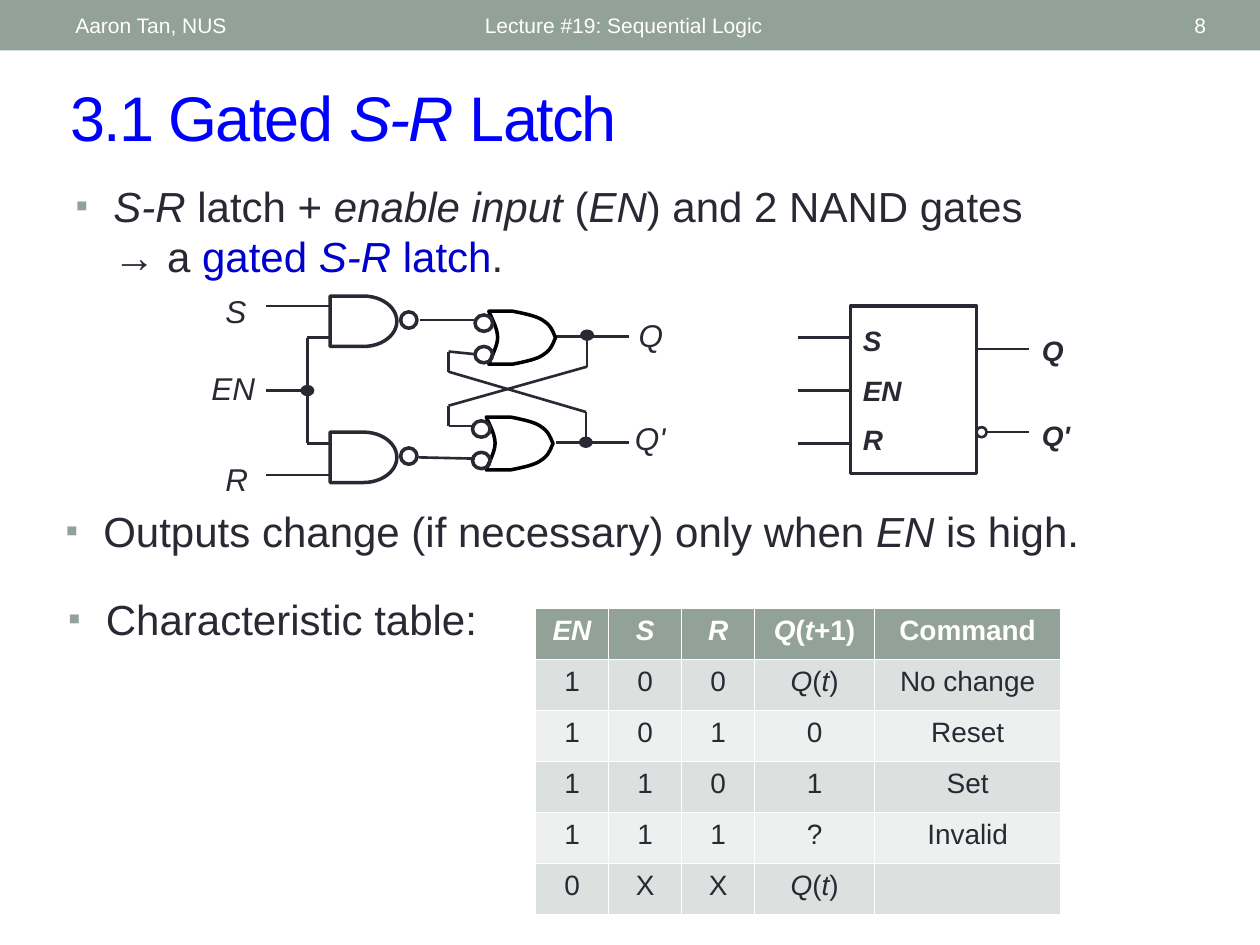
from dataclasses import dataclass
from itertools import pairwise

from lxml.etree import SubElement
from pptx import Presentation
from pptx.dml.color import RGBColor
from pptx.enum.shapes import MSO_CONNECTOR as CONNECTOR, MSO_SHAPE as SHAPE
from pptx.enum.text import MSO_ANCHOR as ANCHOR, MSO_AUTO_SIZE as FIT, PP_ALIGN as ALIGN
from pptx.oxml.ns import qn
from pptx.util import Inches, Pt

COLORS = {"sage": "93A299", "ink": "292934", "title": "0000FF", "accent": "0000CC",
          "white": "FFFFFF", "black": "000000", "odd": "DCE0DE", "even": "EEF0EF"}
FONT = "Arial"

presentation = Presentation()
presentation.slide_width, presentation.slide_height = Inches(10), Inches(7.5)
COLUMN = presentation.slide_width // 100
ROW = presentation.slide_height // 75
slide = presentation.slides.add_slide(presentation.slide_layouts[4])


@dataclass
class Box:
    """A region measured in grid columns and rows."""
    left: float
    top: float
    width: float
    height: float

    def point(self, x, y):
        """Return the slide position of a point inside the region."""
        return round((self.left + x) * COLUMN), round((self.top + y) * ROW)

    def inner(self, x, y, width, height):
        """Return a smaller region inside this one."""
        return Box(self.left + x, self.top + y, width, height)

    def frame(self):
        """Return left, top, width and height as slide lengths."""
        return (*self.point(0, 0), round(self.width * COLUMN), round(self.height * ROW))


def rgb(name):
    """Look up a named colour."""
    return RGBColor.from_string(COLORS[name])


def write(paragraph, text, size, color="ink", bold=False):
    """Write text in which *stars* mark italics and |bars| mark the accent colour."""
    for accent, phrase in enumerate(text.split("|")):
        for italic, piece in enumerate(phrase.split("*")):
            if piece:
                run = paragraph.add_run()
                run.text = piece
                font = run.font
                font.name, font.size, font.bold = FONT, Pt(size), bold
                font.italic = italic % 2 == 1
                font.color.rgb = rgb("accent" if accent % 2 else color)


def label(box, lines, size, color="ink", bold=False, align=ALIGN.LEFT, gap=0, anchor=ANCHOR.TOP):
    """Place a text box with one paragraph for each line."""
    text_frame = slide.shapes.add_textbox(*box.frame()).text_frame
    text_frame.word_wrap, text_frame.vertical_anchor = True, anchor
    for number, line in enumerate(lines):
        paragraph = text_frame.add_paragraph() if number else text_frame.paragraphs[0]
        paragraph.alignment = align
        paragraph.space_before = Pt(gap if number else 0)
        write(paragraph, line, size, color, bold)


def outline(shape, line="ink", weight=2, fill=None):
    """Give a shape its line and fill, without a shadow."""
    shape.shadow.inherit = False
    shape.line.color.rgb, shape.line.width = rgb(line), Pt(weight)
    if fill:
        shape.fill.solid()
        shape.fill.fore_color.rgb = rgb(fill)
    else:
        shape.fill.background()


def preset(kind, box, **style):
    """Add an outlined preset shape."""
    outline(slide.shapes.add_shape(kind, *box.frame()), **style)


def wire(box, *points):
    """Join points with straight lines."""
    for start, end in pairwise(points):
        connector = slide.shapes.add_connector(CONNECTOR.STRAIGHT, *box.point(*start), *box.point(*end))
        connector.line.color.rgb, connector.line.width = rgb("ink"), Pt(1.5)
        SubElement(connector._element.spPr, qn("a:effectLst"))


def curve(start, *segments, steps=10):
    """Sample a chain of cubic curves as points."""
    points = [start]
    for controls in segments:
        corners = (points[-1], *controls)
        for step in range(1, steps + 1):
            t = step / steps
            weights = ((1 - t) ** 3, 3 * t * (1 - t) ** 2, 3 * t * t * (1 - t), t ** 3)
            points.append(tuple(sum(w * c[axis] for w, c in zip(weights, corners)) for axis in (0, 1)))
    return points


def nand_gate(box):
    """Draw a NAND gate with its output bubble."""
    preset(SHAPE.FLOWCHART_DELAY, box)
    preset(SHAPE.OVAL, box.inner(5.6, 1.25, 1.3, 1.3))


def or_gate(box):
    """Draw an OR gate with two inverted inputs."""
    upper = curve((1.9, 0), ((2.9, 0.2), (3.9, 0.4), (4.4, 0.8)), ((5, 1.2), (5.1, 1.7), (5.3, 2.1)))
    lower = [(x, box.height - y) for x, y in reversed(upper)]
    back = curve((0, 4.2), ((0.1, 3.8), (0.7, 2.8), (0.7, 2.1)), ((0.7, 1.4), (0.3, 0.7), (0, 0)))
    points = [box.point(*point) for point in upper + lower + back]
    builder = slide.shapes.build_freeform(*points[0])
    builder.add_line_segments(points[1:], close=True)
    outline(builder.convert_to_shape(), line="black")
    for y in (0.3, 2.8):
        preset(SHAPE.OVAL, box.inner(-1.1, y, 1.4, 1.3))


def header(box):
    """Draw the top band with its three texts."""
    band = slide.shapes.add_shape(SHAPE.RECTANGLE, *box.frame())
    outline(band, fill="sage")
    band.line.fill.background()
    for x, width, text, align in ((37.5, 45, "Lecture #19: Sequential Logic", ALIGN.LEFT),
                                  (87.2, 9.5, "8", ALIGN.RIGHT), (5, 31.7, "Aaron Tan, NUS", ALIGN.LEFT)):
        label(box.inner(x, 0.2, width, 3.6), [text], 12, "white", align=align, anchor=ANCHOR.MIDDLE)


def fill_placeholder(placeholder, box, text, size, color="ink", anchor=ANCHOR.TOP):
    """Move a placeholder, write its text and return the paragraph."""
    placeholder.left, placeholder.top, placeholder.width, placeholder.height = box.frame()
    text_frame = placeholder.text_frame
    text_frame.auto_size, text_frame.word_wrap, text_frame.vertical_anchor = FIT.NONE, True, anchor
    paragraph = text_frame.paragraphs[0]
    paragraph.alignment = ALIGN.LEFT
    write(paragraph, text, size, color)
    return paragraph


def title(box, text):
    """Set the slide title in slightly tightened letters."""
    paragraph = fill_placeholder(slide.shapes.title, box, text, 36, "title", ANCHOR.MIDDLE)
    for run in paragraph.runs:
        run.font._element.set("spc", "-100")


def bullet(placeholder, box, text):
    """Set one square-bulleted statement."""
    paragraph = fill_placeholder(placeholder, box, text, 24)
    paragraph.space_before = Pt(4.8)
    properties = paragraph._p.get_or_add_pPr()
    properties.set("marL", str(Inches(0.3)))
    properties.set("indent", str(-Inches(0.3)))
    SubElement(SubElement(properties, qn("a:buClr")), qn("a:srgbClr"), val=COLORS["sage"])
    SubElement(properties, qn("a:buSzPct"), val="85000")
    SubElement(properties, qn("a:buFont"), typeface=FONT)
    SubElement(properties, qn("a:buChar"), char="▪")


def circuit(box):
    """Draw the gated latch as a logic circuit."""
    for points in (((5.1, 1.3), (10.3, 1.3)), ((5.1, 14.7), (10.3, 14.7)), ((5.1, 8), (8.5, 8)),
                   ((10.3, 3.8), (8.4, 3.8), (8.4, 12.2), (10.3, 12.2)),
                   ((17.3, 2.4), (21.6, 2.4)), ((17.2, 13.3), (21.7, 13.4)),
                   ((28.1, 3.7), (33.9, 3.7)), ((28.1, 12.1), (33.9, 12.1)),
                   ((30.6, 3.7), (30.6, 6.1), (19.6, 9.2), (19.6, 10.8), (21.6, 10.8)),
                   ((30.5, 12.1), (30.5, 9.7), (19.6, 6.5), (19.6, 4.9), (21.6, 5.1))):
        wire(box, *points)
    for x, y in ((30.1, 3.2), (30, 11.7), (7.9, 7.6)):
        preset(SHAPE.OVAL, box.inner(x, y, 1, 0.8), weight=0.75, fill="ink")
    for y in (0.5, 11.3):
        nand_gate(box.inner(10.2, y, 5.3, 4))
    for x, y in ((22.8, 1.7), (22.6, 10.1)):
        or_gate(box.inner(x, y, 5.3, 4.2))
    for x, y, text in ((0.9, -0.3, "S"), (0.9, 13, "R"), (-0.2, 5.8, "EN"), (33.7, 1.6, "Q"), (33.4, 9.8, "Q'")):
        label(box.inner(x, y, 6, 4), [f"*{text}*"], 18)


def block_symbol(box):
    """Draw the latch as a block with three inputs and two outputs."""
    preset(SHAPE.RECTANGLE, box)
    for y in (2.5, 6.7, 10.9):
        wire(box, (-4.2, y), (0, y))
    wire(box, (10, 3.4), (14.2, 3.4))
    wire(box, (10.8, 10), (14.2, 10))
    preset(SHAPE.OVAL, box.inner(10, 9.6, 0.8, 0.8), weight=1.5)
    label(box.inner(0, 0.9, 6, 11.7), ["*S*", "*EN*", "*R*"], 16, bold=True, gap=9)
    for y, text in ((1.7, "*Q*"), (8.4, "*Q'*")):
        label(box.inner(14.2, y, 5, 3.7), [text], 16, bold=True)


def characteristic_table(box, rows, columns):
    """Place the characteristic table with a dark heading row."""
    table = slide.shapes.add_table(len(rows), len(columns), *box.frame()).table
    for column, width in zip(table.columns, columns):
        column.width = round(width * COLUMN)
    for r, texts in enumerate(rows):
        for c, text in enumerate(texts):
            cell = table.cell(r, c)
            cell.fill.solid()
            cell.fill.fore_color.rgb = rgb("sage" if r == 0 else "odd" if r % 2 else "even")
            paragraph = cell.text_frame.paragraphs[0]
            paragraph.alignment = ALIGN.CENTER
            write(paragraph, text, 16, "ink" if r else "white", bold=r == 0)


header(Box(0, 0, 100, 4))
title(Box(4.6, 5.7, 94.2, 7), "3.1 Gated *S-R* Latch")
first, second, third, spare = list(slide.placeholders)[1:]
bullet(first, Box(5, 13.8, 80.3, 10.4),
       "*S-R* latch + *enable input* (*EN*) and 2 NAND gates → a |gated *S-R* latch|.")
bullet(second, Box(4.2, 39.6, 90, 6.4), "Outputs change (if necessary) only when *EN* is high.")
bullet(third, Box(4.4, 46.6, 36.5, 7), "Characteristic table:")
spare._element.getparent().remove(spare._element)
circuit(Box(16, 23, 38, 16))
block_symbol(Box(67.5, 24.3, 10, 13.3))
characteristic_table(Box(42.5, 48.3, 41.7, 24.3), [
    ["*EN*", "*S*", "*R*", "*Q*(*t*+1)", "Command"],
    ["1", "0", "0", "*Q*(*t*)", "No change"],
    ["1", "0", "1", "0", "Reset"],
    ["1", "1", "0", "1", "Set"],
    ["1", "1", "1", "?", "Invalid"],
    ["0", "X", "X", "*Q*(*t*)", ""]], [5.8, 5.8, 5.8, 9.5, 14.8])
presentation.save("out.pptx")
